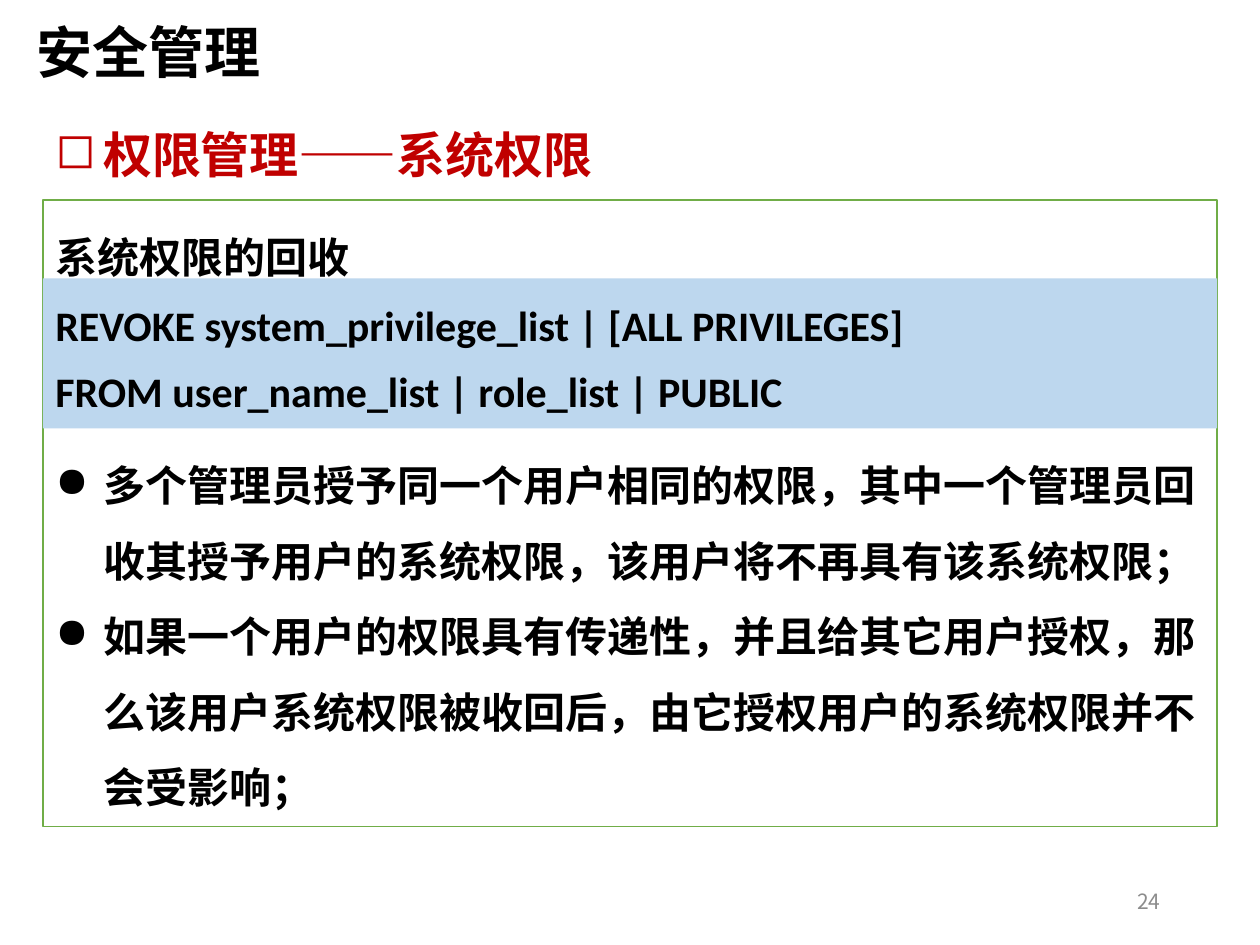
from lxml import etree
from pptx import Presentation
from pptx.dml.color import RGBColor
from pptx.enum import shapes, text
from pptx.oxml.ns import qn
from pptx.util import Inches, Pt

SANS = "Noto Sans CJK SC"
LEFT, WIDTH = 0.34, 9.32


def color(value):
    return RGBColor.from_string(value)


def add_panel(page, top, height, fill=None, line=None):
    panel = page.shapes.add_shape(
        shapes.MSO_SHAPE.RECTANGLE,
        Inches(LEFT), Inches(top), Inches(WIDTH), Inches(height))
    panel.shadow.inherit = False
    if fill:
        panel.fill.solid()
        panel.fill.fore_color.rgb = color(fill)
    else:
        panel.fill.background()
    if line:
        panel.line.color.rgb = color(line)
        panel.line.width = Pt(1)
    else:
        panel.line.fill.background()
    return panel


def add_label(page, left, top, width, height, wrap=True):
    label = page.shapes.add_textbox(
        Inches(left), Inches(top), Inches(width), Inches(height))
    label.text_frame.word_wrap = wrap
    return label


def write(box, lines, size, font=SANS, hue="000000", bold=True,
          spacing=None, anchor=text.MSO_ANCHOR.TOP,
          align=text.PP_ALIGN.LEFT):
    frame = box.text_frame
    frame.vertical_anchor = anchor
    frame.text = "\n".join(lines)
    for para in frame.paragraphs:
        para.alignment = align
        para.line_spacing = spacing
        para.font.size = Pt(size)
        para.font.name = font
        para.font.bold = bold
        para.font.color.rgb = color(hue)
    return frame.paragraphs


def add_bullet(para, mark):
    properties = para._p.get_or_add_pPr()
    properties.set("marL", str(Inches(0.38)))
    properties.set("indent", str(Inches(-0.38)))
    bullet = etree.Element(qn("a:buChar"), char=mark)
    properties.find(qn("a:defRPr")).addprevious(bullet)


def main():
    deck = Presentation()
    deck.slide_width, deck.slide_height = Inches(10), Inches(7.5)
    page = deck.slides.add_slide(deck.slide_layouts[6])

    rules = add_panel(page, 1.59, 4.97, line="70AD47")
    heading, *points = write(rules, [
        "系统权限的回收",
        "多个管理员授予同一个用户相同的权限，其中一个管理员回收其授予用户的系统权限，该用户将不再具有该系统权限；",
        "如果一个用户的权限具有传递性，并且给其它用户授权，那么该用户系统权限被收回后，由它授权用户的系统权限并不会受影响；",
    ], 24, "Calibri", spacing=1.5)
    heading.space_after = Pt(87)
    for point in points:
        add_bullet(point, "●")

    number = add_label(page, 7.06, 6.95, 2.25, 0.4)
    write(number, ["24"], 12, hue="8C8C8C", bold=False,
          anchor=text.MSO_ANCHOR.MIDDLE, align=text.PP_ALIGN.RIGHT)

    topic = add_label(page, LEFT, 0.94, WIDTH, 0.57)
    for para in write(topic, ["权限管理——系统权限"], 28, hue="C00000"):
        add_bullet(para, "◻")

    title = add_label(page, 0.19, 0.09, 2, 0.64, wrap=False)
    write(title, ["安全管理"], 32)

    syntax = add_panel(page, 2.21, 1.19, fill="BDD7EE")
    write(syntax, [
        "REVOKE system_privilege_list | [ALL PRIVILEGES]",
        "FROM user_name_list | role_list | PUBLIC",
    ], 24, "Calibri", spacing=1.3)

    deck.save("out.pptx")


if __name__ == "__main__":
    main()
